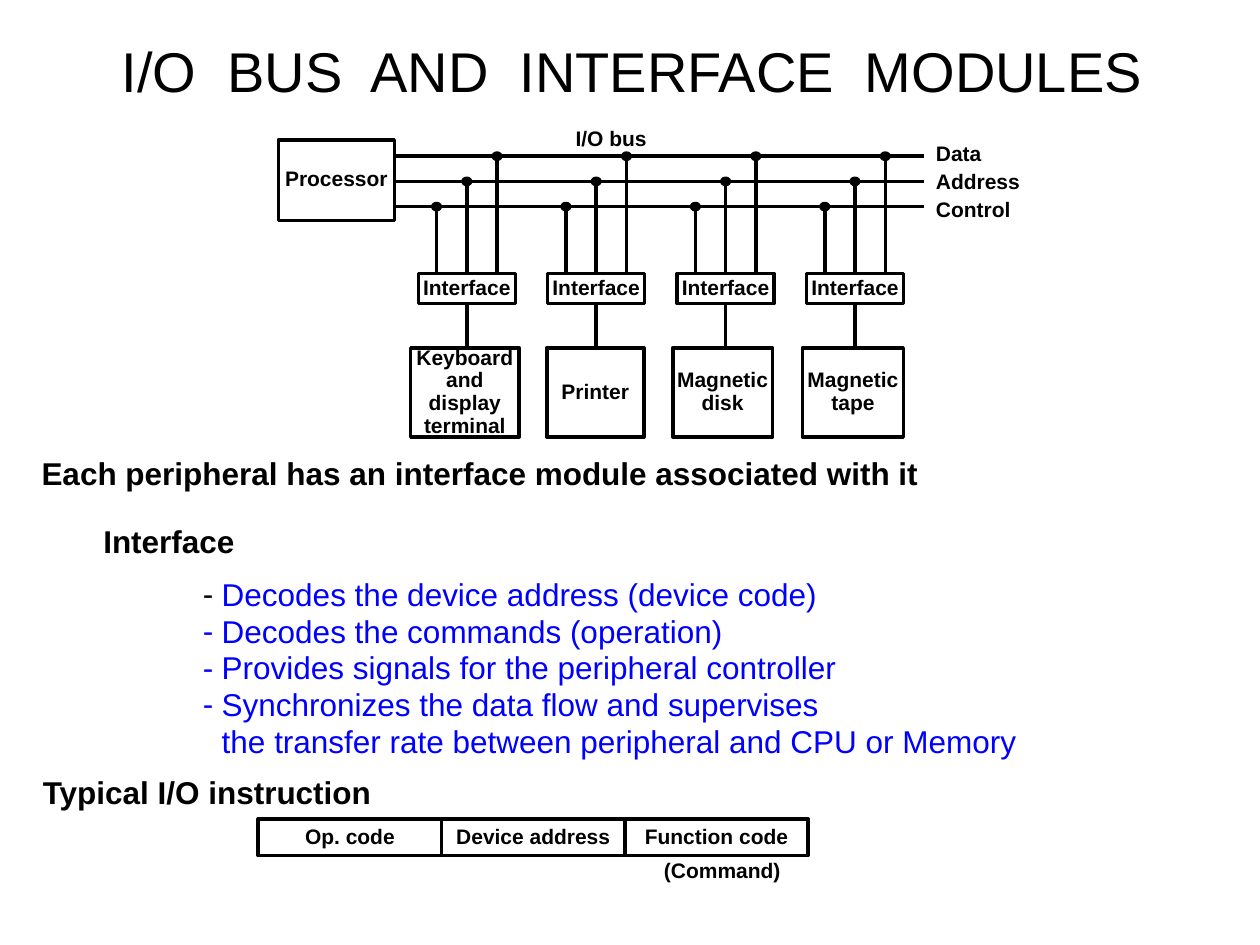
from lxml.etree import SubElement
from pptx import Presentation
from pptx.dml.color import RGBColor
from pptx.enum.shapes import MSO_CONNECTOR, MSO_SHAPE
from pptx.enum.text import MSO_ANCHOR, PP_ALIGN
from pptx.oxml.ns import qn
from pptx.util import Inches, Pt

SLIDE_WIDTH, SLIDE_HEIGHT = Inches(10), Inches(7.5)
COLUMNS, ROWS = 100, 75
COLORS = {"ink": "000000", "duty": "0000FF"}
LINE_WIDTH = Pt(2)

TITLE = {"size": Pt(32), "bold": False}
HEADING = {"size": Pt(18), "bold": True}
DUTY = {"size": Pt(18), "bold": False}
LABEL = {"size": Pt(12), "bold": True}

BOX_FRAME = {
    "word_wrap": False, "vertical_anchor": MSO_ANCHOR.MIDDLE,
    "margin_left": 0, "margin_right": 0, "margin_top": 0, "margin_bottom": 0,
}
TEXT_FRAME = {
    "word_wrap": True, "vertical_anchor": MSO_ANCHOR.TOP,
    "margin_left": Inches(0.07), "margin_right": Inches(0.07),
    "margin_top": Inches(0.03), "margin_bottom": Inches(0.03),
}
LABEL_FRAME = TEXT_FRAME | {
    "vertical_anchor": MSO_ANCHOR.MIDDLE, "margin_left": Inches(0.1), "margin_right": 0,
}
TITLE_FRAME = TEXT_FRAME | {"vertical_anchor": MSO_ANCHOR.MIDDLE}

LEFT = {"alignment": PP_ALIGN.LEFT, "line_spacing": 0.9}
CENTER = {"alignment": PP_ALIGN.CENTER, "line_spacing": 0.9}
LOOSE = {"alignment": PP_ALIGN.LEFT, "line_spacing": 0.97}

BUS_START, BUS_END = 31.3, 73.3
BUS_LINES = [("Data", 12.4, 2.4), ("Address", 14.4, 0), ("Control", 16.4, -2.4)]
BUS_LABEL_TOP, BUS_LABEL_STEP = 10.9, 2.2
PERIPHERALS = [
    ("Keyboard\vand\vdisplay\vterminal", 32.6, 8.6),
    ("Printer", 43.4, 7.7),
    ("Magnetic\vdisk", 53.4, 7.9),
    ("Magnetic\vtape", 63.7, 8),
]
FIRST_CENTER, CENTER_STEP = 37.05, 10.27
INTERFACE_TOP, INTERFACE_WIDTH, INTERFACE_HEIGHT = 21.7, 7.7, 2.4
DEVICE_TOP, DEVICE_HEIGHT = 27.6, 7.1
DOT_WIDTH, DOT_HEIGHT = 0.6, 0.5

DUTIES = [
    "Decodes the device address (device code)",
    "Decodes the commands (operation)",
    "Provides signals for the peripheral controller",
    "Synchronizes the data flow and supervises\v"
    "the transfer rate between peripheral and CPU or Memory",
]
FIELDS = ["Op. code", "Device address", "Function code"]
FIELD_LEFT, FIELD_TOP, FIELD_WIDTH, FIELD_HEIGHT = 20.5, 65, 14.55, 2.9


def col(count):
    return round(SLIDE_WIDTH * count / COLUMNS)


def row(count):
    return round(SLIDE_HEIGHT * count / ROWS)


def area(left, top, width, height):
    return col(left), row(top), col(width), row(height)


def color(name):
    return RGBColor.from_string(COLORS[name])


def apply(target, formats):
    for name, value in formats.items():
        setattr(target, name, value)


def write(paragraph, wording, font, layout, ink="ink"):
    paragraph.text = wording
    apply(paragraph, layout)
    for run in paragraph.runs:
        apply(run.font, font | {"name": "Arial"})
        run.font.color.rgb = color(ink)


def indent(paragraph, margin, hanging=0):
    properties = paragraph._p.get_or_add_pPr()
    properties.set("marL", str(margin))
    properties.set("indent", str(-hanging))
    return properties


def add_dash(paragraph, ink):
    properties = indent(paragraph, Inches(0.15), Inches(0.15))
    dash_color = SubElement(properties, qn("a:buClr"))
    SubElement(dash_color, qn("a:srgbClr")).set("val", COLORS[ink])
    SubElement(properties, qn("a:buFont")).set("typeface", "Arial")
    SubElement(properties, qn("a:buChar")).set("char", "-")


def add_text(slide, place, wording, font, layout, frame_format):
    frame = slide.shapes.add_textbox(*area(*place)).text_frame
    apply(frame, frame_format)
    write(frame.paragraphs[0], wording, font, layout)
    return frame


def add_outline(slide, kind, place):
    outline = slide.shapes.add_shape(kind, *area(*place))
    outline.shadow.inherit = False
    outline.fill.background()
    outline.line.color.rgb = color("ink")
    outline.line.width = LINE_WIDTH
    return outline


def add_box(slide, place, wording):
    frame = add_outline(slide, MSO_SHAPE.RECTANGLE, place).text_frame
    apply(frame, BOX_FRAME)
    write(frame.paragraphs[0], wording, LABEL, CENTER)


def add_wire(slide, start, end):
    wire = slide.shapes.add_connector(
        MSO_CONNECTOR.STRAIGHT, col(start[0]), row(start[1]), col(end[0]), row(end[1]))
    wire.line.color.rgb = color("ink")
    wire.line.width = LINE_WIDTH
    SubElement(wire._element.spPr, qn("a:effectLst"))


def add_dot(slide, x, y):
    dot = add_outline(slide, MSO_SHAPE.OVAL,
                      (x - DOT_WIDTH / 2, y - DOT_HEIGHT / 2, DOT_WIDTH, DOT_HEIGHT))
    dot.fill.solid()
    dot.fill.fore_color.rgb = color("ink")


def add_bus(slide):
    add_box(slide, (22.1, 11.1, 9.2, 6.4), "Processor")
    add_text(slide, (44.7, 9.7, 9, 2.8), "I/O bus", LABEL, LEFT, LABEL_FRAME)
    for index, (name, y, _) in enumerate(BUS_LINES):
        add_wire(slide, (BUS_START, y), (BUS_END, y))
        label_top = BUS_LABEL_TOP + index * BUS_LABEL_STEP
        add_text(slide, (BUS_END, label_top, 9, 2.8), name, LABEL, LEFT, LABEL_FRAME)


def add_peripheral(slide, center, device, left, width):
    for _, y, offset in BUS_LINES:
        add_wire(slide, (center + offset, INTERFACE_TOP), (center + offset, y))
        add_dot(slide, center + offset, y)
    add_wire(slide, (center, INTERFACE_TOP + INTERFACE_HEIGHT), (center, DEVICE_TOP))
    add_box(slide, (center - INTERFACE_WIDTH / 2, INTERFACE_TOP,
                    INTERFACE_WIDTH, INTERFACE_HEIGHT), "Interface")
    add_box(slide, (left, DEVICE_TOP, width, DEVICE_HEIGHT), device)


def add_explanation(slide):
    statement = add_text(slide, (2.6, 36.1, 75, 9),
                         "Each peripheral has an interface module associated with it",
                         HEADING, LEFT, TEXT_FRAME)
    interface = statement.add_paragraph()
    write(interface, "Interface", HEADING, LEFT | {"space_before": Pt(19)})
    indent(interface, Inches(0.49))

    duties = add_text(slide, (15.4, 45.5, 70, 15.1), DUTIES[0], DUTY, LOOSE, TEXT_FRAME)
    for index, duty in enumerate(DUTIES):
        paragraph = duties.add_paragraph() if index else duties.paragraphs[0]
        write(paragraph, duty, DUTY, LOOSE, "duty")
        add_dash(paragraph, "duty" if index else "ink")


def add_instruction(slide):
    add_text(slide, (2.7, 61.2, 32, 3.5), "Typical I/O instruction", HEADING, LOOSE, TEXT_FRAME)
    for index, field in enumerate(FIELDS):
        add_box(slide, (FIELD_LEFT + index * FIELD_WIDTH, FIELD_TOP,
                        FIELD_WIDTH, FIELD_HEIGHT), field)
    add_text(slide, (52, 67.9, 12, 2.5), "(Command)", LABEL, LOOSE, TEXT_FRAME)


def main():
    deck = Presentation()
    apply(deck, {"slide_width": SLIDE_WIDTH, "slide_height": SLIDE_HEIGHT})
    slide = deck.slides.add_slide(deck.slide_layouts[6])
    add_text(slide, (6.6, 2.6, 87.2, 6), "I/O  BUS  AND  INTERFACE  MODULES",
             TITLE, CENTER | {"line_spacing": 1.0}, TITLE_FRAME)
    add_bus(slide)
    for index, peripheral in enumerate(PERIPHERALS):
        add_peripheral(slide, FIRST_CENTER + index * CENTER_STEP, *peripheral)
    add_explanation(slide)
    add_instruction(slide)
    deck.save("out.pptx")


if __name__ == "__main__":
    main()
